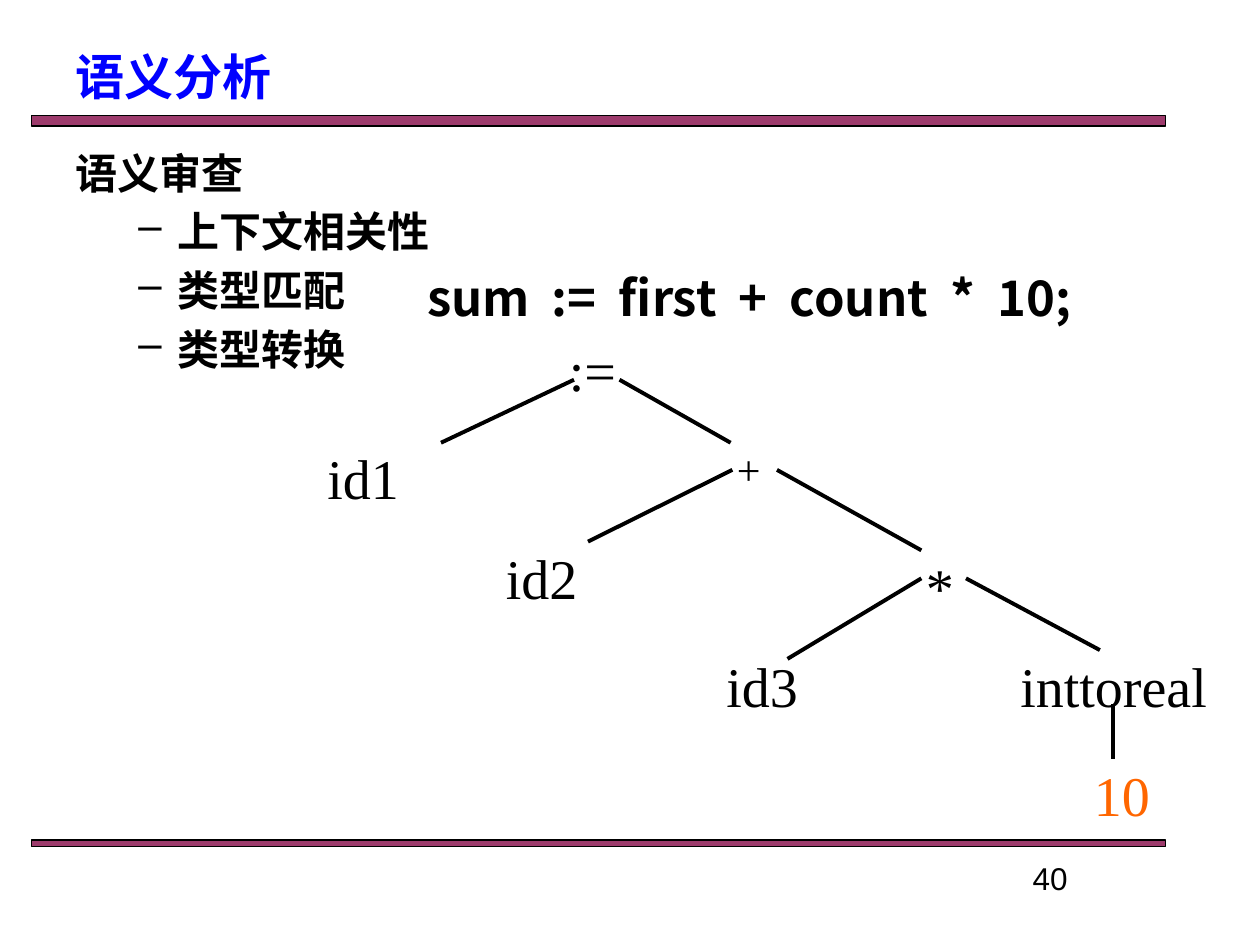
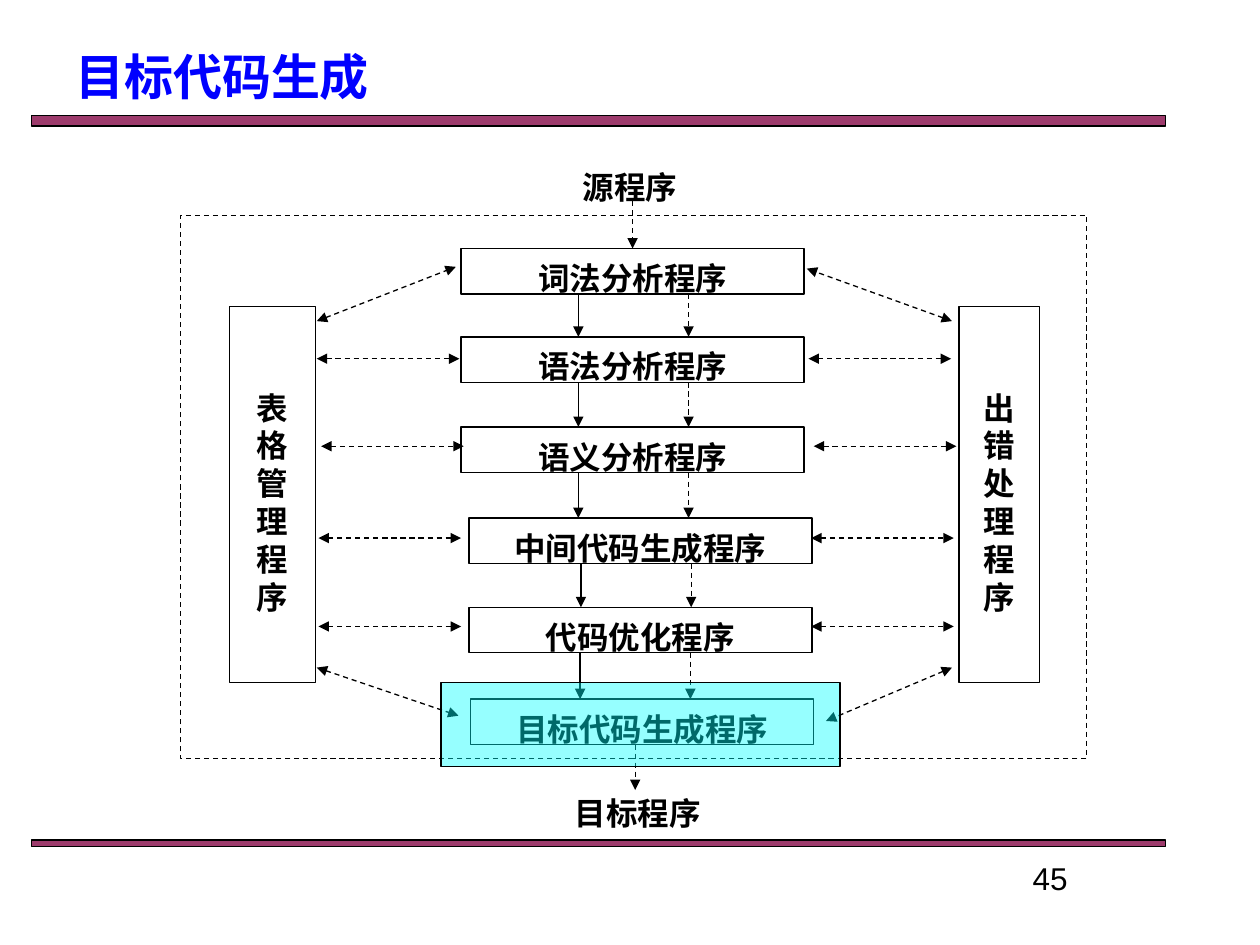
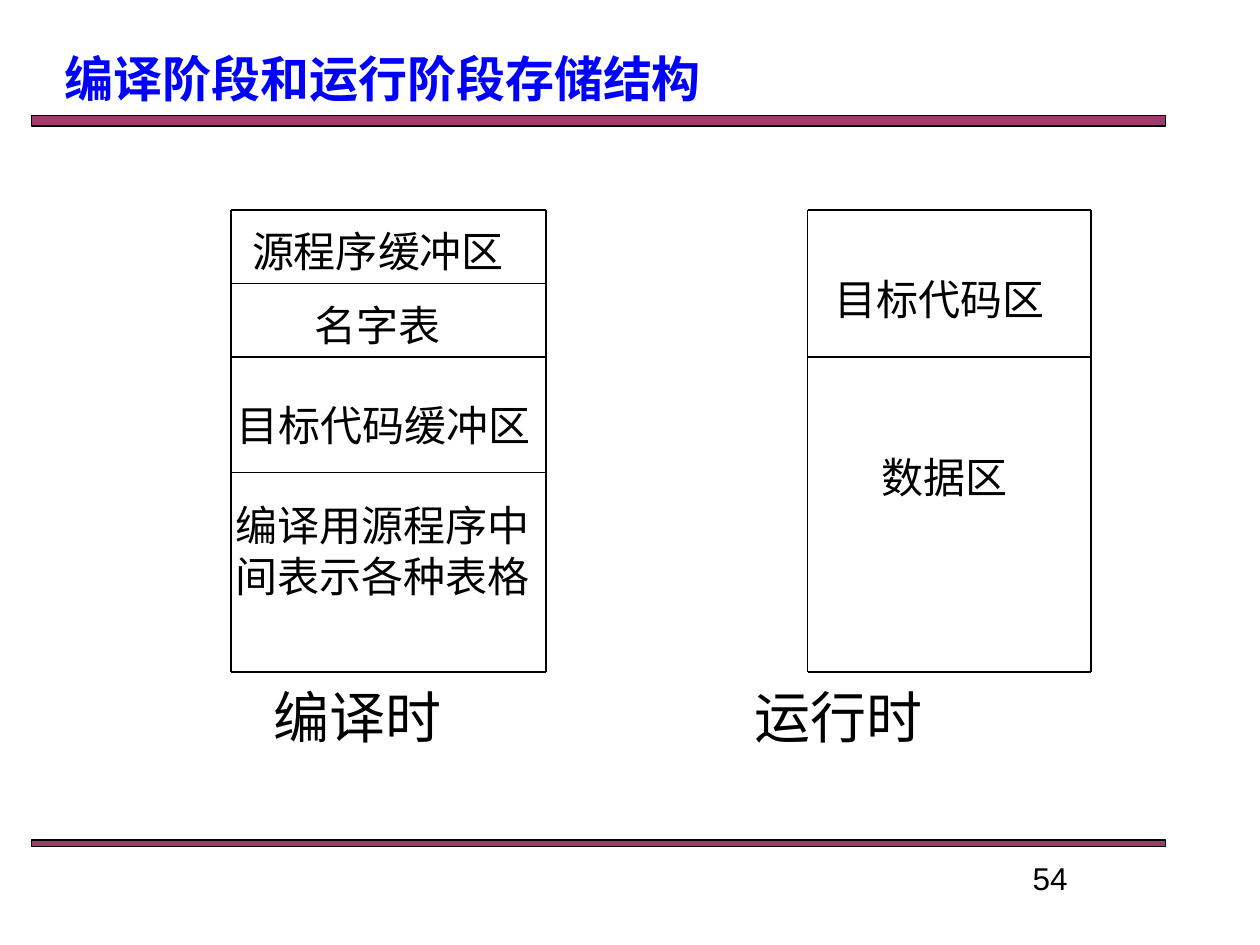
from dataclasses import dataclass

from lxml import etree
from pptx import Presentation
from pptx.dml.color import RGBColor
from pptx.enum.dml import MSO_LINE
from pptx.enum.shapes import MSO_CONNECTOR, MSO_SHAPE
from pptx.enum.text import MSO_ANCHOR, PP_ALIGN
from pptx.oxml.ns import qn
from pptx.util import Pt

STRAIGHT = MSO_CONNECTOR.STRAIGHT
RECTANGLE = MSO_SHAPE.RECTANGLE
DASH = MSO_LINE.DASH
TOP, MIDDLE = MSO_ANCHOR.TOP, MSO_ANCHOR.MIDDLE
LEFT, CENTER = PP_ALIGN.LEFT, PP_ALIGN.CENTER
TOP_SIDE = 0


@dataclass(frozen=True)
class Theme:
    """Colours, fonts and type sizes of the deck."""
    black: str = "000000"
    white: str = "FFFFFF"
    blue: str = "0000FF"
    plum: str = "993366"
    orange: str = "FF6600"
    cyan: str = "00FFFF"
    serif: str = "Times New Roman"
    sans: str = "Arial"
    cjk: str = "Noto Sans CJK SC"
    title: int = 28
    body: int = 24
    small: int = 18
    large: int = 32
    thin: float = 0.75
    thick: float = 2.25
    leading: float = 1.2


class Deck:
    """Draws styled elements on the current slide."""

    def __init__(self, theme):
        self.theme = theme
        self.presentation = Presentation()
        self.presentation.slide_width = Pt(720)
        self.presentation.slide_height = Pt(540)
        self.slide = None

    def new_slide(self, title, number, title_left=36, title_top=30):
        """Start a slide with its bands, title and page number."""
        theme = self.theme
        self.slide = self.presentation.slides.add_slide(self.presentation.slide_layouts[6])
        for top, height in ((66, 6), (480, 3.8)):
            self.box(18, top, 648, height, theme.plum, opacity=96)
        self.text(title_left, title_top, 648, 27, [title], theme.title, theme.cjk,
                  theme.blue, bold=True, anchor=MIDDLE)
        self.text(516, 487.5, 168, 30, [str(number)], theme.small, theme.sans, align=CENTER)

    def box(self, left, top, width, height, fill=None, line=None, dash=None, opacity=None):
        """Add an outlined rectangle."""
        shape = self.slide.shapes.add_shape(RECTANGLE, Pt(left), Pt(top), Pt(width), Pt(height))
        shape.shadow.inherit = False
        if fill:
            shape.fill.solid()
            shape.fill.fore_color.rgb = RGBColor.from_string(fill)
        else:
            shape.fill.background()
        if opacity:
            colour = shape._element.spPr.find(qn("a:solidFill")).find(qn("a:srgbClr"))
            etree.SubElement(colour, qn("a:alpha"), val=str(opacity * 1000))
        self.stroke(shape.line, line or self.theme.black, self.theme.thin, dash)
        return shape

    def stroke(self, line, colour, width, dash):
        """Set the colour, width and dash of a line."""
        line.color.rgb = RGBColor.from_string(colour)
        line.width = Pt(width)
        if dash:
            line.dash_style = dash

    def text(self, left, top, width, height, lines, size, font=None, colour=None, **style):
        """Add a text box."""
        label = self.slide.shapes.add_textbox(Pt(left), Pt(top), Pt(width), Pt(height))
        self.fill_text(label, lines, size, font, colour, **style)

    def fill_text(self, shape, lines, size, font=None, colour=None, bold=False, align=LEFT,
                  anchor=TOP, wrap=True, leading=None, inset=6, bullets_from=None):
        """Put styled paragraphs into a shape."""
        theme = self.theme
        frame = shape.text_frame
        frame.word_wrap = wrap
        frame.vertical_anchor = anchor
        if leading:
            frame.margin_top, frame.margin_bottom = Pt(inset), Pt(1)
        for index, line in enumerate(lines):
            paragraph = frame.add_paragraph() if index else frame.paragraphs[0]
            paragraph.add_run().text = line
            paragraph.alignment = align
            if leading:
                paragraph.line_spacing = Pt(size * leading)
            if bullets_from is not None and index >= bullets_from:
                paragraph.space_before = Pt(size * 0.2)
                properties = paragraph._p.get_or_add_pPr()
                properties.set("marL", str(Pt(58.5)))
                properties.set("indent", str(Pt(-22.5)))
                etree.SubElement(properties, qn("a:buChar"), char="–")
            paragraph.font.size = Pt(size)
            paragraph.font.bold = bold
            paragraph.font.name = font or theme.serif
            paragraph.font.color.rgb = RGBColor.from_string(colour or theme.black)
            defaults = paragraph._p.pPr.find(qn("a:defRPr"))
            etree.SubElement(defaults, qn("a:ea"), typeface=theme.cjk)

    def line(self, start, end, width=None, dash=None, heads=()):
        """Add a straight line with optional arrowheads."""
        connector = self.slide.shapes.add_connector(STRAIGHT, *map(Pt, (*start, *end)))
        self.stroke(connector.line, self.theme.black, width or self.theme.thin, dash)
        properties = connector._element.spPr
        for head in heads:
            etree.SubElement(properties.find(qn("a:ln")), qn(f"a:{head}"), type="triangle")
        etree.SubElement(properties, qn("a:effectLst"))
        return connector


def semantic_analysis(deck):
    """Draw the checks and the typed syntax tree."""
    theme = deck.theme
    deck.new_slide("语义分析", 40)
    deck.text(36, 78, 612, 162, ["语义审查", "上下文相关性", "类型匹配", "类型转换"],
              theme.body, bold=True, leading=theme.leading, bullets_from=1)

    nodes = (
        ("10", 618, 428.5, 50, theme.large, theme.orange),
        (":=", 318, 186, 51, theme.large, theme.black),
        ("+", 414, 247.5, 51, theme.body, theme.black),
        ("*", 522, 309.5, 51, theme.large, theme.black),
        ("id1", 180, 247.5, 127, theme.large, theme.black),
        ("id2", 282, 304.5, 95, theme.large, theme.black),
        ("id3", 408, 366.5, 70, theme.large, theme.black),
        ("inttoreal", 576, 366.5, 126, theme.large, theme.black),
    )
    for name, left, top, width, size, colour in nodes:
        deck.text(left, top, width, 39, [name], size, colour=colour, leading=theme.leading)

    branches = (
        ((252, 253), (328, 217)), ((354, 217), (417.5, 253)),
        ((418.5, 268.5), (336, 309.5)), ((444, 268.5), (526.5, 314.5)),
        ((552, 330.5), (628.5, 371.5)), ((526.5, 330.5), (450, 376.5)),
        ((636, 402.5), (636, 433.5)),
    )
    for start, end in branches:
        deck.line(start, end, theme.thick)
    deck.text(237, 139.5, 481, 60, ["sum  :=  first  +  count  *  10;"],
              theme.title, theme.cjk, bold=True, anchor=MIDDLE)


def code_generation(deck):
    """Draw the compiler phases with the last one highlighted."""
    theme = deck.theme
    label = dict(size=theme.small, bold=True, align=CENTER, leading=theme.leading)
    phase_width, phase_height = 196, 26
    one_way, two_way = ("tailEnd",), ("headEnd", "tailEnd")
    deck.new_slide("目标代码生成", 45)

    for name, left, top in (("源程序", 262, 90), ("目标程序", 266.5, 448)):
        deck.text(left, top, phase_width, phase_height, [name], **label)

    phases = (
        ("词法分析程序", 263.5, 142, 330.5), ("语法分析程序", 263.5, 192.5, 330.5),
        ("语义分析程序", 263.5, 244, 330.5), ("中间代码生成程序", 268, 296, 332),
        ("代码优化程序", 268, 347, 331.5), ("目标代码生成程序", 269, 399.5, 331.5),
    )
    phase_boxes = []
    for name, left, top, _ in phases:
        phase = deck.box(left, top, phase_width, phase_height, theme.white)
        deck.fill_text(phase, [name], **label)
        phase_boxes.append(phase)

    for name, left, width in (("表格管理程序", 131, 49.5), ("出错处理程序", 548, 46)):
        manager = deck.box(left, 175, width, 215, theme.white)
        deck.fill_text(manager, [name], inset=47, **label)

    source_arrow = deck.line((361.5, 115), (361.5, 142), dash=DASH, heads=one_way)
    source_arrow.end_connect(phase_boxes[0], TOP_SIDE)
    deck.line((363, 425.5), (363, 451.5), dash=DASH, heads=one_way)
    for (_, _, top, flow), (_, _, next_top, _) in zip(phases, phases[1:]):
        for x, dash in ((flow, None), (flow + 63, DASH)):
            deck.line((x, top + phase_height), (x, next_top), dash=dash, heads=one_way)

    for left, right, y in ((181, 462, 205), (183.5, 465, 255),
                           (182, 463.5, 307.5), (182, 463.5, 358)):
        for start in (left, right):
            deck.line((start, y), (start + 81.5, y), dash=DASH, heads=two_way)
    for manager_end, phase_end in (
        ((181, 183.5), (260.5, 152.5)), ((181, 381.5), (262, 409)),
        ((544, 183.5), (461, 153.5)), ((544, 381.5), (472, 412)),
    ):
        deck.line(manager_end, phase_end, dash=DASH, heads=two_way)

    deck.box(103, 123, 518, 310.5, dash=DASH)
    deck.box(252, 390, 228, 48, theme.cyan, opacity=41)


def storage_layout(deck):
    """Draw the memory areas at compile time and at run time."""
    theme = deck.theme
    deck.new_slide("编译阶段和运行阶段存储结构", 54, 30, 31)
    layouts = (
        ("编译时", 149.5, 132, 312, (120, 162, 204, 270, 384)),
        ("运行时", 424, 461.5, 623.5, (120, 204, 384)),
    )
    for caption, caption_left, left, right, rows in layouts:
        deck.text(caption_left, 384, 130, 46, [caption], theme.large, theme.sans,
                  leading=theme.leading)
        for x in (left, right):
            deck.line((x, rows[0]), (x, rows[-1]))
        for y in rows:
            deck.line((left, y), (right, y))

    areas = (
        (["源程序缓冲区"], 150, 126, 132, 30),
        (["名字表"], 179.5, 168, 72, 30),
        (["目标代码缓冲区"], 156, 216, 126, 48),
        (["编译用源程序中", "间表示各种表格"], 143.5, 276, 150, 72),
        (["目标代码区"], 510, 138, 54, 60),
        (["数据区"], 503.5, 234, 72, 72),
    )
    for lines, *place in areas:
        area = deck.box(*place, theme.white, theme.white)
        deck.fill_text(area, lines, theme.body, align=CENTER, anchor=MIDDLE, wrap=False,
                       leading=theme.leading)


def main():
    """Build and save the deck."""
    deck = Deck(Theme())
    for build in (semantic_analysis, code_generation, storage_layout):
        build(deck)
    deck.presentation.save("out.pptx")


if __name__ == "__main__":
    main()
